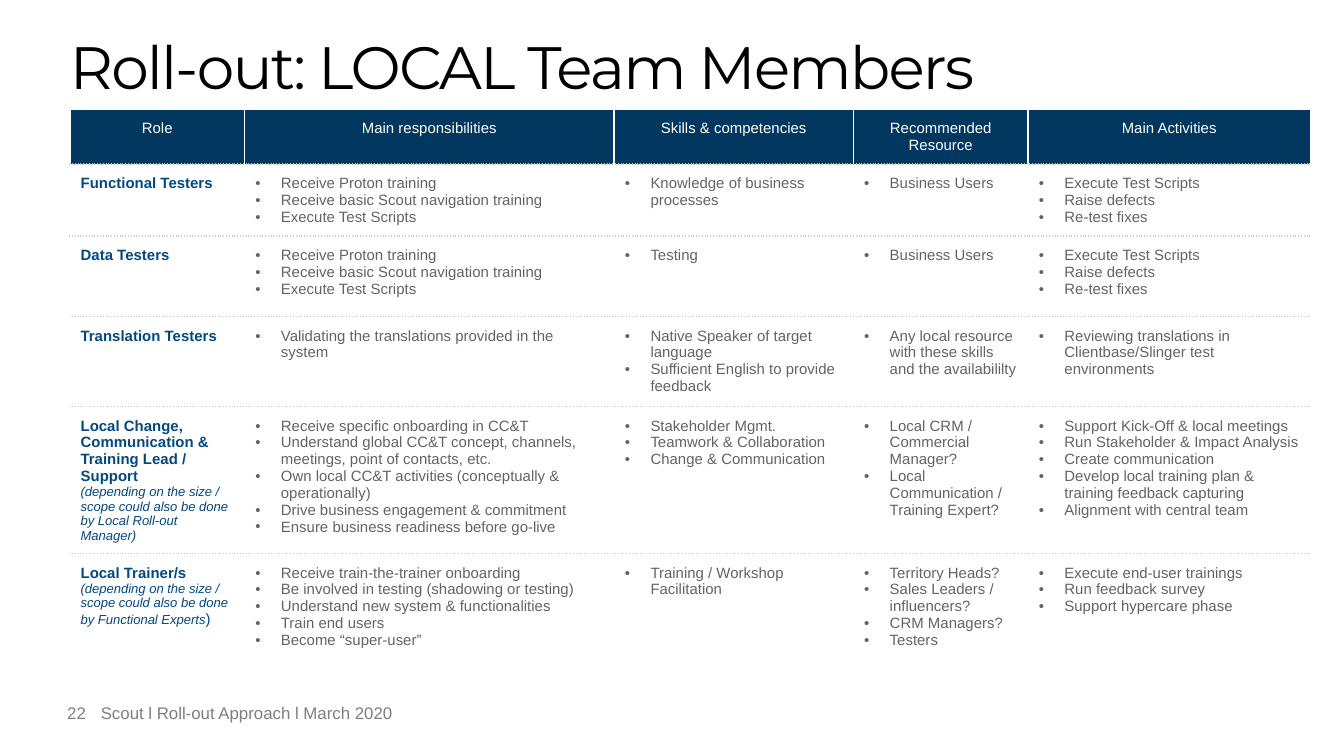
from dataclasses import dataclass

from lxml.etree import SubElement
from pptx import Presentation
from pptx.dml.color import RGBColor as Rgb
from pptx.enum.text import MSO_ANCHOR as Anchor, MSO_AUTO_SIZE as Auto, PP_ALIGN as Align
from pptx.oxml.ns import qn
from pptx.util import Inches, Pt


@dataclass(frozen=True)
class Theme:
    font: str = "Arial"
    head_font: str = "Montserrat"
    black: str = "000000"
    white: str = "FFFFFF"
    navy: str = "023760"
    blue: str = "03487F"
    text: str = "636363"
    foot: str = "7F7F7F"
    rule: str = "C6C6C6"
    title: int = 32
    small: int = 9
    body: int = 8
    note: int = 7


T = Theme()
WIDTHS = [1.3, 2.75, 1.78, 1.3, 2.1]
HEIGHTS = [0.31, 0.49, 0.6, 0.67, 0.86, 0.81]
PAD = Inches(0.08)
INDENT = Inches(0.19)

HEADS = ["Role", "Main responsibilities", "Skills & competencies",
         "Recommended Resource", "Main Activities"]
TRAIN = ["Receive Proton training", "Receive basic Scout navigation training",
         "Execute Test Scripts"]
TEST = ["Execute Test Scripts", "Raise defects", "Re-test fixes"]
SIZE_NOTE = "(depending on the size / scope could also be done by "

# Each role: name, note, end of note, then one bullet list per column
ROLES = [
    ("Functional Testers", "", "",
     [TRAIN, ["Knowledge of business processes"], ["Business Users"], TEST]),
    ("Data Testers", "", "",
     [TRAIN, ["Testing"], ["Business Users"], TEST]),
    ("Translation Testers", "", "",
     [["Validating the translations provided in the system"],
      ["Native Speaker of target language", "Sufficient English to provide feedback"],
      ["Any local resource with these skills and the availabililty"],
      ["Reviewing translations in Clientbase/Slinger test environments"]]),
    ("Local Change, Communication & Training Lead / Support",
     SIZE_NOTE + "Local Roll-out Manager)", "",
     [["Receive specific onboarding in CC&T",
       "Understand global CC&T concept, channels, meetings, point of contacts, etc.",
       "Own local CC&T activities (conceptually & operationally)",
       "Drive business engagement & commitment",
       "Ensure business readiness before go-live"],
      ["Stakeholder Mgmt.", "Teamwork & Collaboration", "Change & Communication"],
      ["Local CRM / Commercial Manager?", "Local Communication / Training Expert?"],
      ["Support Kick-Off & local meetings", "Run Stakeholder & Impact Analysis",
       "Create communication", "Develop local training plan & training feedback capturing",
       "Alignment with central team"]]),
    ("Local Trainer/s", SIZE_NOTE + "Functional Experts", ")",
     [["Receive train-the-trainer onboarding",
       "Be involved in testing (shadowing or testing)",
       "Understand new system & functionalities", "Train end users",
       "Become “super-user”"],
      ["Training / Workshop Facilitation"],
      ["Territory Heads?", "Sales Leaders / influencers?", "CRM Managers?", "Testers"],
      ["Execute end-user trainings", "Run feedback survey", "Support hypercare phase"]]),
]


def write(para, text, size=T.body, color=T.text, font=T.font, bold=False, italic=False):
    """Add one formatted run to a paragraph."""
    run = para.add_run()
    run.text = text
    style = run.font
    style.size, style.name, style.bold, style.italic = Pt(size), font, bold, italic
    style.color.rgb = Rgb.from_string(color)
    return run


def clear_pad(frame):
    frame.margin_left = frame.margin_right = frame.margin_top = frame.margin_bottom = 0
    frame.word_wrap = True


def add_title(slide, text):
    title = slide.shapes.title
    title.left, title.top = Inches(0.52), Inches(0.37)
    title.width, title.height = Inches(8.96), Inches(0.31)
    frame = title.text_frame
    clear_pad(frame)
    frame.auto_size = Auto.NONE
    frame.vertical_anchor = Anchor.MIDDLE
    para = frame.paragraphs[0]
    para.alignment, para.line_spacing = Align.LEFT, 0.9
    run = write(para, text, size=T.title, color=T.black, font=T.head_font)
    run.font._element.set("spc", "-100")


def add_foot(slide, text, left, width):
    box = slide.shapes.add_textbox(Inches(left), Inches(5.23), Inches(width), Inches(0.25))
    clear_pad(box.text_frame)
    write(box.text_frame.paragraphs[0], text, size=T.small, color=T.foot)


def add_edge(cell, side, dotted):
    line = SubElement(cell._tc.get_or_add_tcPr(), qn(f"a:ln{side}"))
    line.set("w", str(Pt(0.75 if dotted else 1)))
    fill = SubElement(line, qn("a:solidFill"))
    SubElement(fill, qn("a:srgbClr")).set("val", T.rule if dotted else T.white)
    SubElement(line, qn("a:prstDash")).set("val", "sysDot" if dotted else "solid")


def frame_cell(cell, first, last):
    """Set padding, borders and fill; dotted rules lie between rows only."""
    cell.margin_left = cell.margin_right = cell.margin_top = cell.margin_bottom = PAD
    for side, dotted in (("L", False), ("R", False), ("T", not first), ("B", not last)):
        add_edge(cell, side, dotted)
    if first:
        cell.fill.solid()
        cell.fill.fore_color.rgb = Rgb.from_string(T.navy)
    else:
        cell.fill.background()


def fill_list(cell, items):
    frame = cell.text_frame
    for i, item in enumerate(items):
        para = frame.add_paragraph() if i else frame.paragraphs[0]
        props = para._p.get_or_add_pPr()
        props.set("marL", str(INDENT))
        props.set("indent", str(-INDENT))
        SubElement(props, qn("a:buFont")).set("typeface", T.font)
        SubElement(props, qn("a:buChar")).set("char", "•")
        write(para, item)


def fill_role(cell, name, note, end):
    frame = cell.text_frame
    write(frame.paragraphs[0], name, color=T.blue, bold=True)
    if note:
        para = frame.add_paragraph()
        write(para, note, size=T.note, color=T.blue, italic=True)
        if end:
            write(para, end, color=T.blue)


def add_roles(slide):
    table = slide.shapes.add_table(
        len(HEIGHTS), len(WIDTHS), Inches(0.52), Inches(0.81),
        Inches(sum(WIDTHS)), Inches(sum(HEIGHTS))).table
    table.first_row = table.horz_banding = False
    for col, width in zip(table.columns, WIDTHS):
        col.width = Inches(width)
    for i, (row, height) in enumerate(zip(table.rows, HEIGHTS)):
        row.height = Inches(height)
        for cell in row.cells:
            frame_cell(cell, i == 0, i == len(HEIGHTS) - 1)
    for col, head in enumerate(HEADS):
        para = table.cell(0, col).text_frame.paragraphs[0]
        para.alignment = Align.CENTER
        write(para, head, color=T.white)
    for row, (name, note, end, lists) in enumerate(ROLES, 1):
        fill_role(table.cell(row, 0), name, note, end)
        for col, items in enumerate(lists, 1):
            fill_list(table.cell(row, col), items)


def main():
    deck = Presentation()
    deck.slide_width = Inches(10)
    deck.slide_height = deck.slide_width * 9 // 16
    slide = deck.slides.add_slide(deck.slide_layouts[5])
    add_title(slide, "Roll-out: LOCAL Team Members")
    add_roles(slide)
    add_foot(slide, "22", 0.5, 0.25)
    add_foot(slide, "Scout l Roll-out Approach l March 2020", 0.75, 4.15)
    deck.save("out.pptx")


if __name__ == "__main__":
    main()
